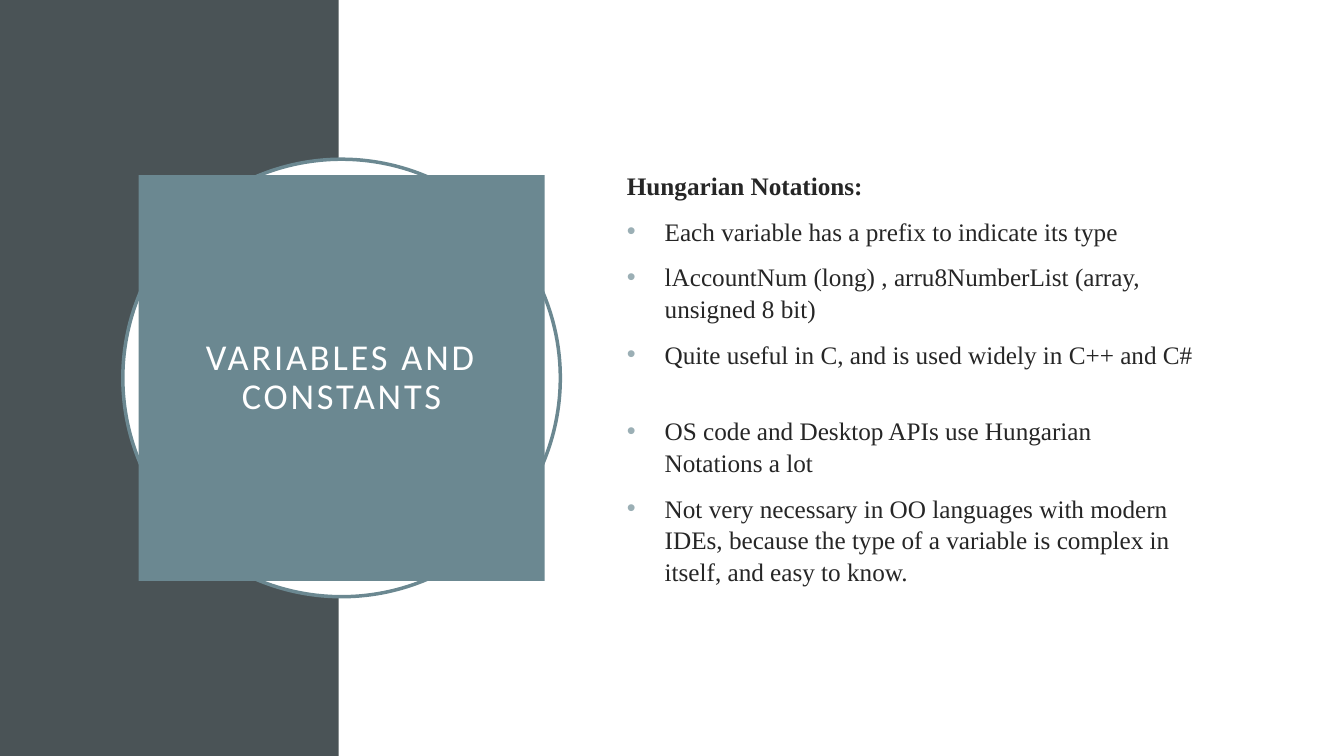
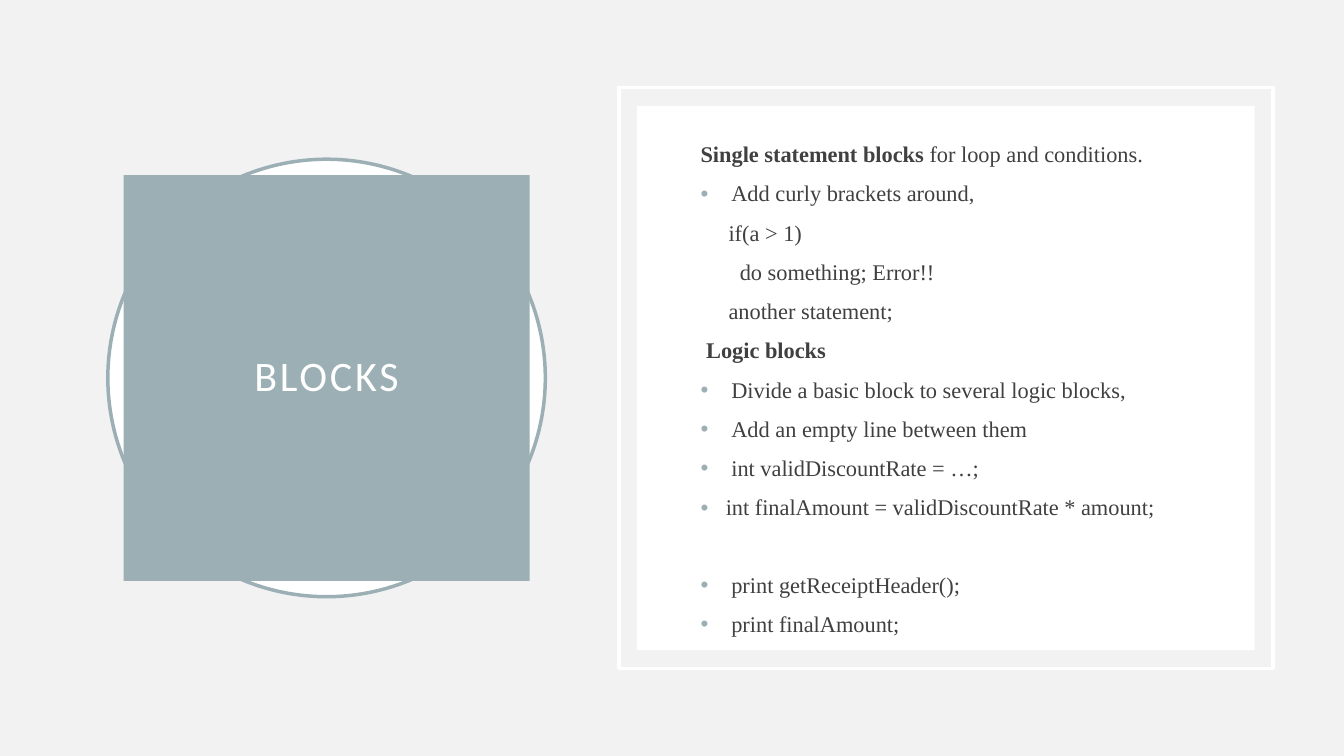
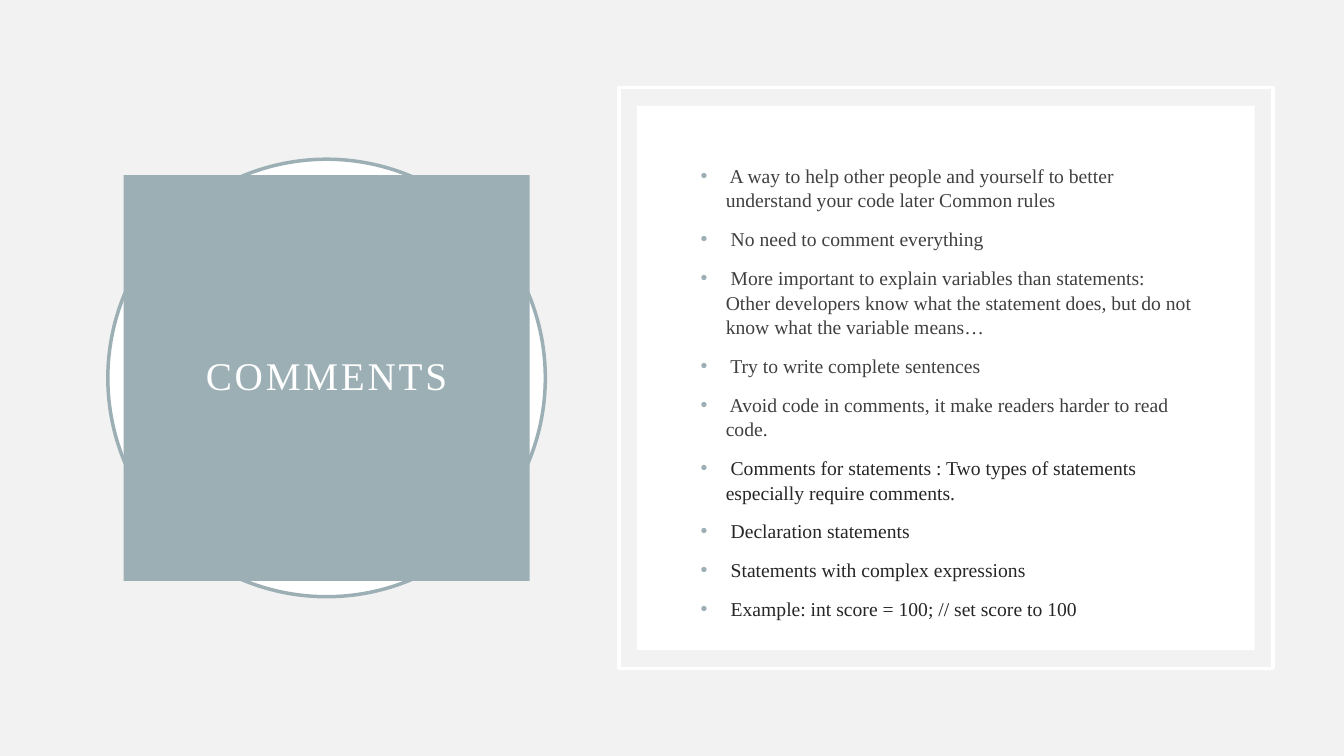
from lxml import etree
from pptx import Presentation
from pptx.dml.color import RGBColor
from pptx.enum.shapes import MSO_SHAPE
from pptx.enum.text import MSO_ANCHOR, MSO_AUTO_SIZE, PP_ALIGN
from pptx.oxml.ns import qn
from pptx.util import Pt

RECTANGLE = MSO_SHAPE.RECTANGLE
OVAL = MSO_SHAPE.OVAL
TOP, MIDDLE = MSO_ANCHOR.TOP, MSO_ANCHOR.MIDDLE
CENTER = PP_ALIGN.CENTER
NO_FIT = MSO_AUTO_SIZE.NONE

WIDTH, HEIGHT = 960, 540
WHITE, PALE_GRAY, SLATE = "FFFFFF", "F2F2F2", "4A5356"
TEAL, MIST = "6B8891", "9BAFB5"
INK, GRAY = "262626", "404040"
SERIF, SANS = "Times New Roman", "Calibri"


def color(code):
    return RGBColor.from_string(code)


class Slides:
    """Holds the shared style and the current page."""

    def __init__(self):
        self.deck = Presentation()
        self.deck.slide_width, self.deck.slide_height = Pt(WIDTH), Pt(HEIGHT)
        self.page = None

    def new_page(self, background):
        self.page = self.deck.slides.add_slide(self.deck.slide_layouts[1])
        fill = self.page.background.fill
        fill.solid()
        fill.fore_color.rgb = color(background)

    def place(self, box, left, top, width, height):
        box.left, box.top, box.width, box.height = (
            Pt(length) for length in (left, top, width, height))
        self.page.shapes.element.append(box.element)  # bring to front

    def shape(self, kind, bounds, fill=None, line=None):
        box = self.page.shapes.add_shape(kind, *(Pt(length) for length in bounds))
        box.shadow.inherit = False
        if fill:
            box.fill.solid()
            box.fill.fore_color.rgb = color(fill)
        else:
            box.fill.background()
        if line:
            box.line.color.rgb = color(line)
            box.line.width = Pt(2.5)
        else:
            box.line.fill.background()

    def span(self, para, text, font, size, tone, bold=False):
        span = para.add_run()
        span.text = text
        span.font.name, span.font.size, span.font.bold = font, Pt(size), bold
        span.font.color.rgb = color(tone)
        return span

    def frame(self, box, anchor, left, top):
        frame = box.text_frame
        frame.word_wrap, frame.auto_size = True, NO_FIT
        frame.vertical_anchor = anchor
        frame.margin_left = frame.margin_right = Pt(left)
        frame.margin_top = frame.margin_bottom = Pt(top)
        return frame

    def title(self, text, center, tone, font, size):
        """Square title block over a ringed circle."""
        circle, square, middle = 312.5, 290, HEIGHT / 2
        self.shape(OVAL, (center - circle / 2, middle - circle / 2, circle, circle),
                   WHITE, tone)
        box = self.page.shapes.title
        self.place(box, center - square / 2, middle - square / 2, square, square)
        box.fill.solid()
        box.fill.fore_color.rgb = color(tone)
        para = self.frame(box, MIDDLE, 14.4, 14.4).paragraphs[0]
        para.alignment, para.line_spacing = CENTER, 0.9
        span = self.span(para, text, font, size, WHITE)
        span.font._element.set("spc", "200")

    def card(self):
        """White card inside a white outline."""
        left, top, width, height, gap = 442, 62.6, 467.3, 414.8, 13
        self.shape(RECTANGLE, (left, top, width, height), line=WHITE)
        self.shape(RECTANGLE, (left + gap, top + gap, width - 2 * gap, height - 2 * gap),
                   WHITE)

    def body(self, bounds, inset, size, spacing, items):
        """Each item: spans of (text, bold, tone), indent, bullet, space before."""
        box = self.page.placeholders[1]
        self.place(box, *bounds)
        frame = self.frame(box, TOP, 7.2, inset)
        for index, (spans, indent, bullet, before) in enumerate(items):
            para = frame.paragraphs[0] if index == 0 else frame.add_paragraph()
            self.bullet(para, indent, bullet)
            para.line_spacing = spacing
            para.space_before = Pt(before if index else 0)
            para.space_after = Pt(0)
            for text, bold, tone in spans:
                self.span(para, text, SERIF, size, tone, bold)

    def bullet(self, para, indent, bullet):
        props = para._p.get_or_add_pPr()
        props.set("marL", str(Pt(indent)))
        props.set("indent", str(Pt(-indent if bullet else 0)))
        if bullet:
            tint = etree.SubElement(props, qn("a:buClr"))
            etree.SubElement(tint, qn("a:srgbClr")).set("val", MIST)
            etree.SubElement(props, qn("a:buChar")).set("char", "•")
        else:
            etree.SubElement(props, qn("a:buNone"))


def item(text, indent=0, bullet=True, tone=GRAY, bold=False, before=10):
    return [(text, bold, tone)], indent, bullet, before


def variables_page(slides):
    slides.new_page(WHITE)
    slides.shape(RECTANGLE, (0, 0, 242, HEIGHT), SLATE)
    slides.title("VARIABLES AND CONSTANTS", 244, TEAL, SANS, 26)
    points = [
        ("Each variable has a prefix to indicate its type", 10),
        ("lAccountNum (long) , arru8NumberList (array, unsigned 8 bit)", 10),
        ("Quite useful in C, and is used widely in C++ and C#", 10),
        ("OS code and Desktop APIs use Hungarian Notations a lot", 31.8),
        ("Not very necessary in OO languages with modern IDEs, because the type "
         "of a variable is complex in itself, and easy to know.", 10),
    ]
    slides.body((440.6, 110.2, 419, 319), 10.2, 18, 1.05,
                [item("Hungarian Notations:", bullet=False, tone=INK, bold=True)]
                + [item(text, 27, tone=INK, before=before) for text, before in points])


def blocks_page(slides):
    slides.new_page(PALE_GRAY)
    slides.title("BLOCKS", 233.3, MIST, SANS, 30)
    slides.card()
    opening = [("Single statement blocks", True, GRAY),
               (" for loop and conditions.", False, GRAY)]
    slides.body((493.2, 96.5, 366.5, 354.2), 5.3, 16, 0.94, [
        (opening, 0, False, 0),
        item("Add curly brackets around,", 22),
        item("if(a > 1)", 20, False),
        item("do something; Error!!", 28, False),
        item("another statement;", 20, False),
        item("Logic blocks", 4, False, bold=True),
        item("Divide a basic block to several logic blocks,", 22),
        item("Add an empty line between them", 22),
        item("int validDiscountRate = …;", 22),
        item("int finalAmount = validDiscountRate * amount;", 18),
        item("print getReceiptHeader();", 22, before=37.3),
        item("print finalAmount;", 22),
    ])


def comments_page(slides):
    slides.new_page(PALE_GRAY)
    slides.title("COMMENTS", 233.3, MIST, SERIF, 28)
    slides.card()
    rules = [
        " A way to help other people and yourself to better understand your code "
        "later Common rules",
        " No need to comment everything",
        " More important to explain variables than statements: Other developers "
        "know what the statement does, but do not know what the variable means…",
        " Try to write complete sentences",
        " Avoid code in comments, it make readers harder to read code.",
    ]
    statements = [
        " Comments for statements : Two types of statements especially require "
        "comments.",
        " Declaration statements",
        " Statements with complex expressions",
        " Example: int score = 100; // set score to 100",
    ]
    slides.body((493.2, 113.8, 366.5, 312.5), 2.3, 14, 1.05,
                [item(text, 18) for text in rules]
                + [item(text, 18, tone=INK) for text in statements])


def main():
    slides = Slides()
    variables_page(slides)
    blocks_page(slides)
    comments_page(slides)
    slides.deck.save("out.pptx")


if __name__ == "__main__":
    main()
